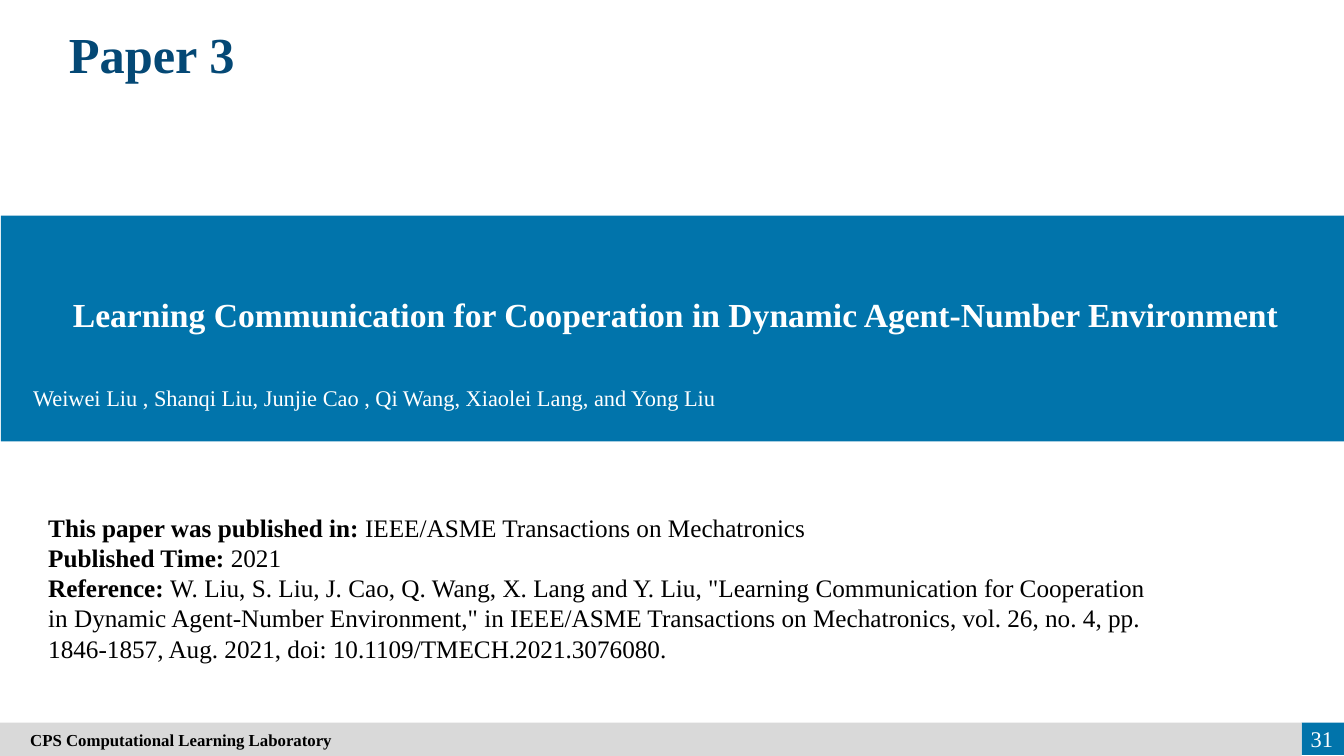
from pptx import Presentation
from pptx.dml.color import RGBColor
from pptx.enum.shapes import MSO_SHAPE
from pptx.enum.text import MSO_ANCHOR, MSO_AUTO_SIZE, PP_ALIGN
from pptx.util import Inches, Pt

# Content
TITLE = "Paper 3"
PAPER = "Learning Communication for Cooperation in Dynamic Agent-Number Environment"
AUTHORS = "Weiwei Liu , Shanqi Liu, Junjie Cao , Qi Wang, Xiaolei Lang, and Yong Liu"
DETAILS = [
    ("This paper was published in: ", "IEEE/ASME Transactions on Mechatronics"),
    ("Published Time:", " 2021"),
    ("Reference: ",
     "W. Liu, S. Liu, J. Cao, Q. Wang, X. Lang and Y. Liu, \"Learning "
     "Communication for Cooperation in Dynamic Agent-Number Environment,\" in "
     "IEEE/ASME Transactions on Mechatronics, vol. 26, no. 4, pp. 1846-1857, "
     "Aug. 2021, doi: 10.1109/TMECH.2021.3076080."),
]
LAB = "CPS Computational Learning Laboratory"
PAGE = "31"

# Style
FONT = "Times New Roman"
BLUE = RGBColor(0x01, 0x74, 0xAB)
NAVY = RGBColor(0x04, 0x48, 0x75)
GREY = RGBColor(0xD9, 0xD9, 0xD9)
WHITE = RGBColor(0xFF, 0xFF, 0xFF)
BLACK = RGBColor(0, 0, 0)

# Layout
SLIDE_W, SLIDE_H = 13.33, 7.5
FOOT_TOP, FOOT_W = 7.17, 12.91


def add_bar(slide, x, y, w, h, color):
    sp = slide.shapes.add_shape(MSO_SHAPE.RECTANGLE, *map(Inches, (x, y, w, h)))
    sp.shadow.inherit = False
    sp.fill.solid()
    sp.fill.fore_color.rgb = color
    sp.line.fill.background()
    return sp


def add_box(slide, x, y, w, h):
    return slide.shapes.add_textbox(*map(Inches, (x, y, w, h)))


def write(sp, paragraphs, size, color, align=PP_ALIGN.LEFT,
          anchor=MSO_ANCHOR.TOP, spacing=1.0):
    """Fill a shape with paragraphs, each a list of (text, bold) runs."""
    tf = sp.text_frame
    tf.word_wrap = True
    tf.auto_size = MSO_AUTO_SIZE.NONE
    tf.vertical_anchor = anchor
    for i, runs in enumerate(paragraphs):
        p = tf.add_paragraph() if i else tf.paragraphs[0]
        p.alignment = align
        p.line_spacing = spacing
        for text, bold in runs:
            r = p.add_run()
            r.text = text
            r.font.name = FONT
            r.font.size = Pt(size)
            r.font.bold = bold
            r.font.color.rgb = color


def main():
    prs = Presentation()
    prs.slide_width, prs.slide_height = Inches(SLIDE_W), Inches(SLIDE_H)
    slide = prs.slides.add_slide(prs.slide_layouts[5])

    # Title
    title = slide.shapes.title
    title.left, title.top = Inches(0.38), Inches(0.18)
    title.width, title.height = Inches(2.25), Inches(0.71)
    write(title, [[(TITLE, True)]], 36, NAVY, PP_ALIGN.CENTER)

    # Blue band with paper name and authors
    add_bar(slide, 0.01, 2.14, 13.32, 2.24, BLUE)
    write(add_box(slide, 0.27, 2.66, 12.86, 0.71), [[(PAPER, True)]], 24, WHITE,
          PP_ALIGN.CENTER, MSO_ANCHOR.MIDDLE, 1.5)
    write(add_box(slide, 0.23, 3.76, 12.96, 0.37), [[(AUTHORS, False)]], 16, WHITE)

    # Publication details
    write(add_box(slide, 0.38, 5.03, 11.32, 1.61),
          [[(label, True), (value, False)] for label, value in DETAILS], 18, BLACK)

    # Footer
    add_bar(slide, FOOT_W, FOOT_TOP, SLIDE_W - FOOT_W, 0.32, BLUE)
    footer = add_bar(slide, 0, FOOT_TOP, FOOT_W, SLIDE_H - FOOT_TOP, GREY)
    footer.text_frame.margin_left = Inches(0.3)
    write(footer, [[(LAB, True)]], 12, BLACK, anchor=MSO_ANCHOR.MIDDLE)
    write(add_box(slide, 12.69, 7.13, 0.63, 0.4), [[(PAGE, False)]], 16, WHITE,
          PP_ALIGN.RIGHT, MSO_ANCHOR.MIDDLE)

    prs.save("out.pptx")


if __name__ == "__main__":
    main()
